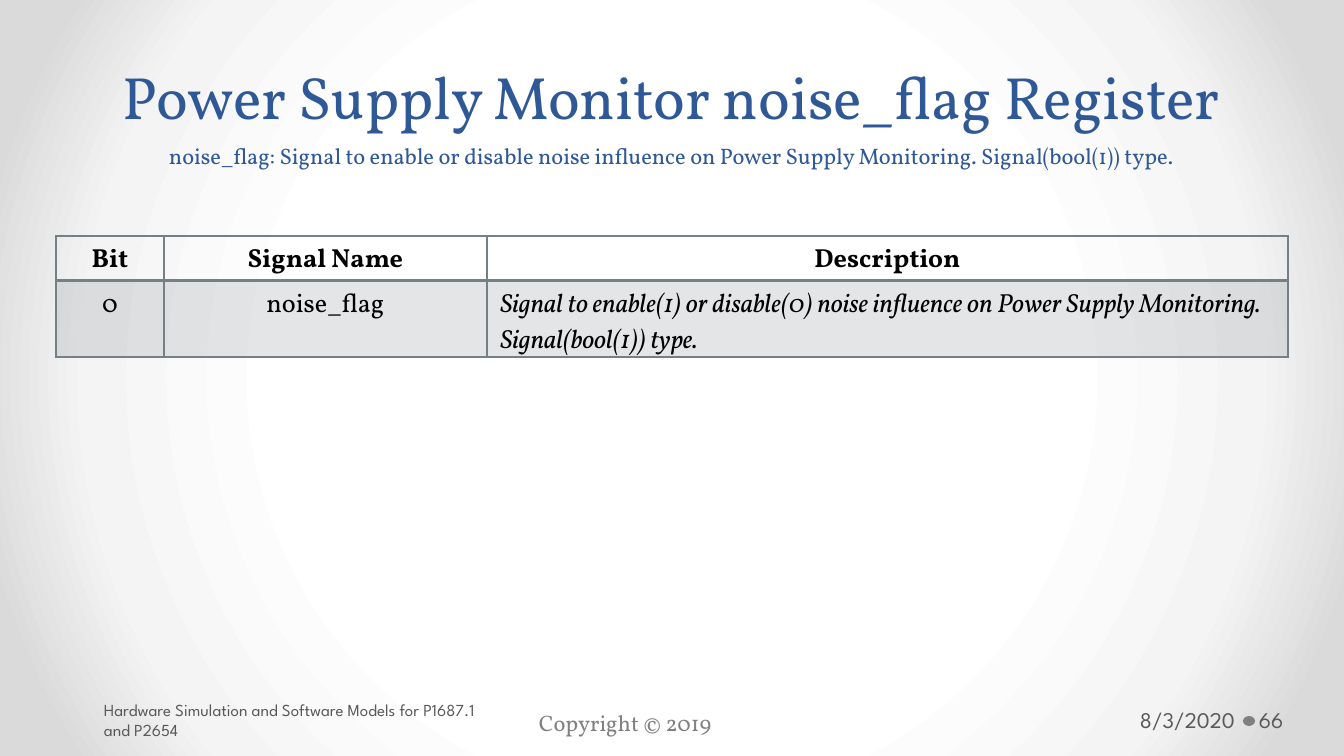
import pptx
import pptx.dml.color
import pptx.enum.shapes
import pptx.enum.text
import pptx.oxml
import pptx.oxml.ns
import pptx.util

PX = 914400 / 134.4
ALIGN = pptx.enum.text.PP_ALIGN
ANCHOR = pptx.enum.text.MSO_ANCHOR
NS = pptx.oxml.ns.nsdecls("a")

SERIF = "Vollkorn"
SANS = "League Spartan"
BLUE = "2F5897"
GREY = "808080"
DARK_GREY = "595959"
TABLE_GREY = "758085"
BLACK = "000000"


def px(length):
    return pptx.util.Emu(round(length * PX))


def rgb(value):
    return pptx.dml.color.RGBColor.from_string(value)


class RegisterSlide:
    """Holds the deck's style and the slide being filled."""

    def __init__(self, deck):
        self.slide = deck.slides.add_slide(deck.slide_layouts[5])

    def background(self, stops):
        """Fill the background with a radial gradient of (percent, colour) stops."""
        self.slide.background.fill.solid()
        solid = self.slide.background._cSld.bg.bgPr.find(pptx.oxml.ns.qn("a:solidFill"))
        stop_xml = "".join(
            f'<a:gs pos="{percent * 1000}"><a:srgbClr val="{colour}"/></a:gs>'
            for percent, colour in stops
        )
        gradient = pptx.oxml.parse_xml(
            f'<a:gradFill {NS} rotWithShape="1"><a:gsLst>{stop_xml}</a:gsLst>'
            '<a:path path="circle"><a:fillToRect l="50000" t="50000" r="50000" b="50000"/>'
            "</a:path></a:gradFill>"
        )
        solid.getparent().replace(solid, gradient)

    def style_run(self, run, size, colour, font=SERIF, bold=False, italic=False):
        run.font.size = pptx.util.Pt(size)
        run.font.name = font
        run.font.color.rgb = rgb(colour)
        run.font.bold = bold
        run.font.italic = italic

    def title(self, box, heading, summary):
        title = self.slide.shapes.title
        title.left, title.top, title.width, title.height = map(px, box)
        frame = title.text_frame
        frame.text = f"{heading}\v{summary}"
        frame.word_wrap = True
        frame.auto_size = pptx.enum.text.MSO_AUTO_SIZE.NONE
        frame.vertical_anchor = ANCHOR.BOTTOM
        paragraph = frame.paragraphs[0]
        paragraph.alignment = ALIGN.CENTER
        paragraph.line_spacing = pptx.util.Pt(20)
        for run, size in zip(paragraph.runs, (32, 12)):
            self.style_run(run, size, BLUE)

    def label(self, box, text, size, colour, font, align=ALIGN.LEFT,
              anchor=ANCHOR.MIDDLE, left_inset=13, right_inset=13):
        frame = self.slide.shapes.add_textbox(*map(px, box)).text_frame
        frame.word_wrap = True
        frame.vertical_anchor = anchor
        frame.margin_left, frame.margin_right = px(left_inset), px(right_inset)
        frame.text = text
        frame.paragraphs[0].alignment = align
        self.style_run(frame.paragraphs[0].runs[0], size, colour, font)

    def dot(self, box, colour):
        dot = self.slide.shapes.add_shape(
            pptx.enum.shapes.MSO_SHAPE.OVAL, *map(px, box))
        dot.shadow.inherit = False
        dot.fill.solid()
        dot.fill.fore_color.rgb = rgb(colour)
        dot.line.fill.background()

    def table(self, left, top, column_widths, row_height, rows):
        """Draw a header row and shaded body rows; the last column is prose."""
        table = self.slide.shapes.add_table(
            len(rows), len(column_widths), px(left), px(top),
            px(sum(column_widths)), px(row_height * len(rows))).table
        for column, width in zip(table.columns, column_widths):
            column.width = px(width)
        for row_index, row in enumerate(rows):
            header = row_index == 0
            for column_index, text in enumerate(row):
                prose = not header and column_index == len(row) - 1
                cell = table.cell(row_index, column_index)
                cell.text = text
                paragraph = cell.text_frame.paragraphs[0]
                paragraph.alignment = ALIGN.LEFT if prose else ALIGN.CENTER
                self.style_run(paragraph.runs[0], 14, BLACK, bold=header, italic=prose)
                self.cell_fill(cell, header)
                # The rule under the header is shared with the first body row.
                self.cell_borders(cell, top=2 if row_index == 1 else 1,
                                  bottom=2 if header else 1)

    def cell_fill(self, cell, header):
        if header:
            cell.fill.background()
            return
        cell.fill.solid()
        cell.fill.fore_color.rgb = rgb(TABLE_GREY)
        colour = cell._tc.tcPr.find(".//" + pptx.oxml.ns.qn("a:srgbClr"))
        colour.append(pptx.oxml.parse_xml(f'<a:alpha {NS} val="20000"/>'))

    def cell_borders(self, cell, top, bottom):
        sides = (("lnL", 1), ("lnR", 1), ("lnT", top), ("lnB", bottom))
        for position, (side, width) in enumerate(sides):
            border = pptx.oxml.parse_xml(
                f'<a:{side} {NS} w="{pptx.util.Pt(width)}"><a:solidFill>'
                f'<a:srgbClr val="{TABLE_GREY}"/></a:solidFill></a:{side}>')
            cell._tc.tcPr.insert(position, border)


def main():
    deck = pptx.Presentation()
    deck.slide_width, deck.slide_height = px(1344), px(756)
    page = RegisterSlide(deck)

    page.background([(50, "FFFFFF"), (76, "F4F4F4"), (92, "DADADA")])
    page.dot((1243, 716, 12, 10), GREY)
    page.label((526, 703, 392, 40), "Copyright © 2019", 12, GREY, SERIF,
               anchor=ANCHOR.TOP)
    page.title(
        (67, 0, 1210, 176),
        "Power Supply Monitor noise_flag Register",
        "noise_flag: Signal to enable or disable noise influence on "
        "Power Supply Monitoring. Signal(bool(1)) type.")
    page.label((1109, 700, 133, 40), "8/3/2020", 12, DARK_GREY, SANS,
               align=ALIGN.RIGHT, right_inset=7)
    page.label((97, 700, 418, 40),
               "Hardware Simulation and Software Models for P1687.1 and P2654",
               9, DARK_GREY, SANS, left_inset=7)
    page.label((1255, 700, 82, 40), "66", 12, DARK_GREY, SANS,
               left_inset=4, right_inset=7)
    page.table(56, 236, (108, 323, 801), 42, (
        ("Bit", "Signal Name", "Description"),
        ("0", "noise_flag",
         "Signal to enable(1) or disable(0) noise influence on "
         "Power Supply Monitoring. Signal(bool(1)) type."),
    ))
    deck.save("out.pptx")


if __name__ == "__main__":
    main()
